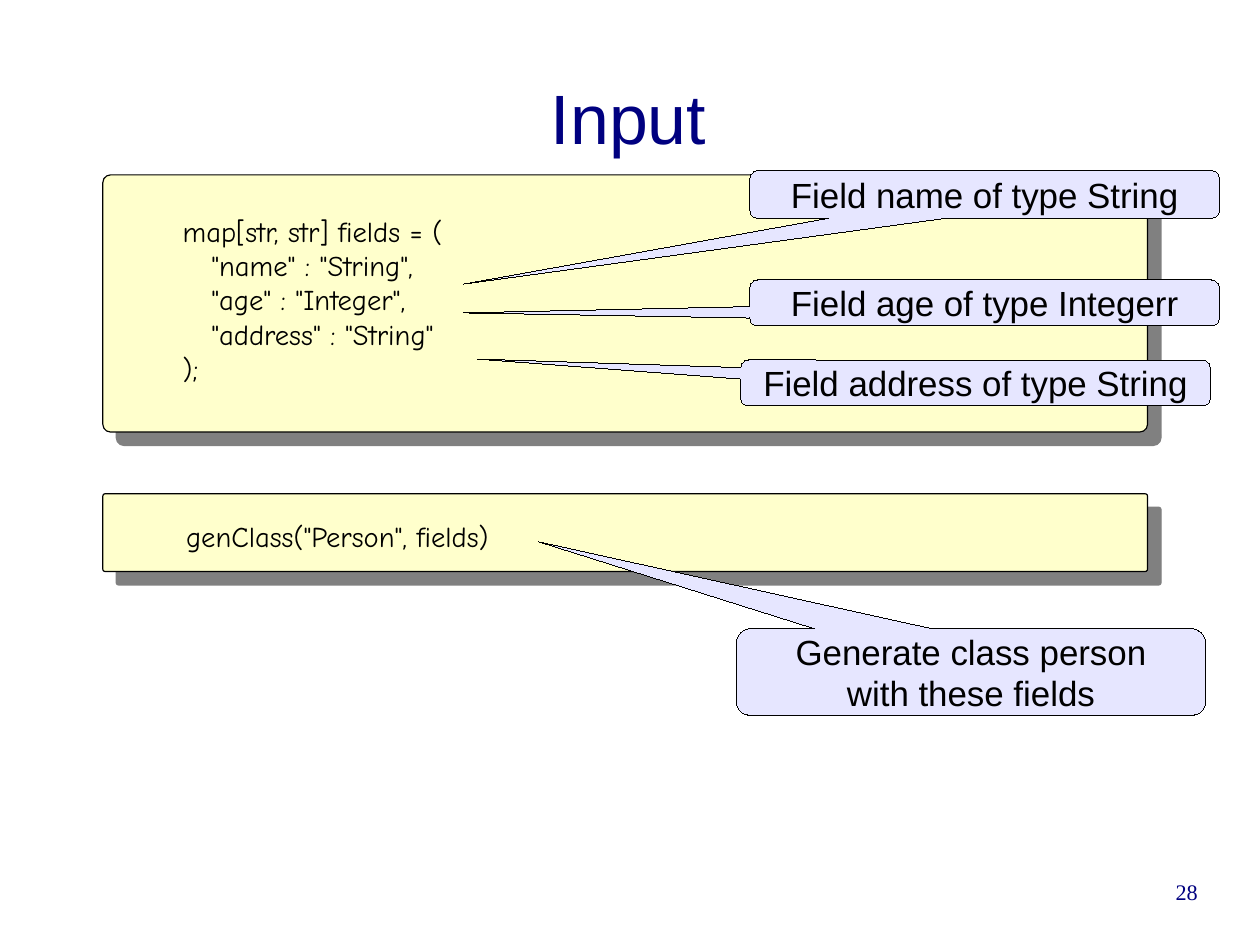
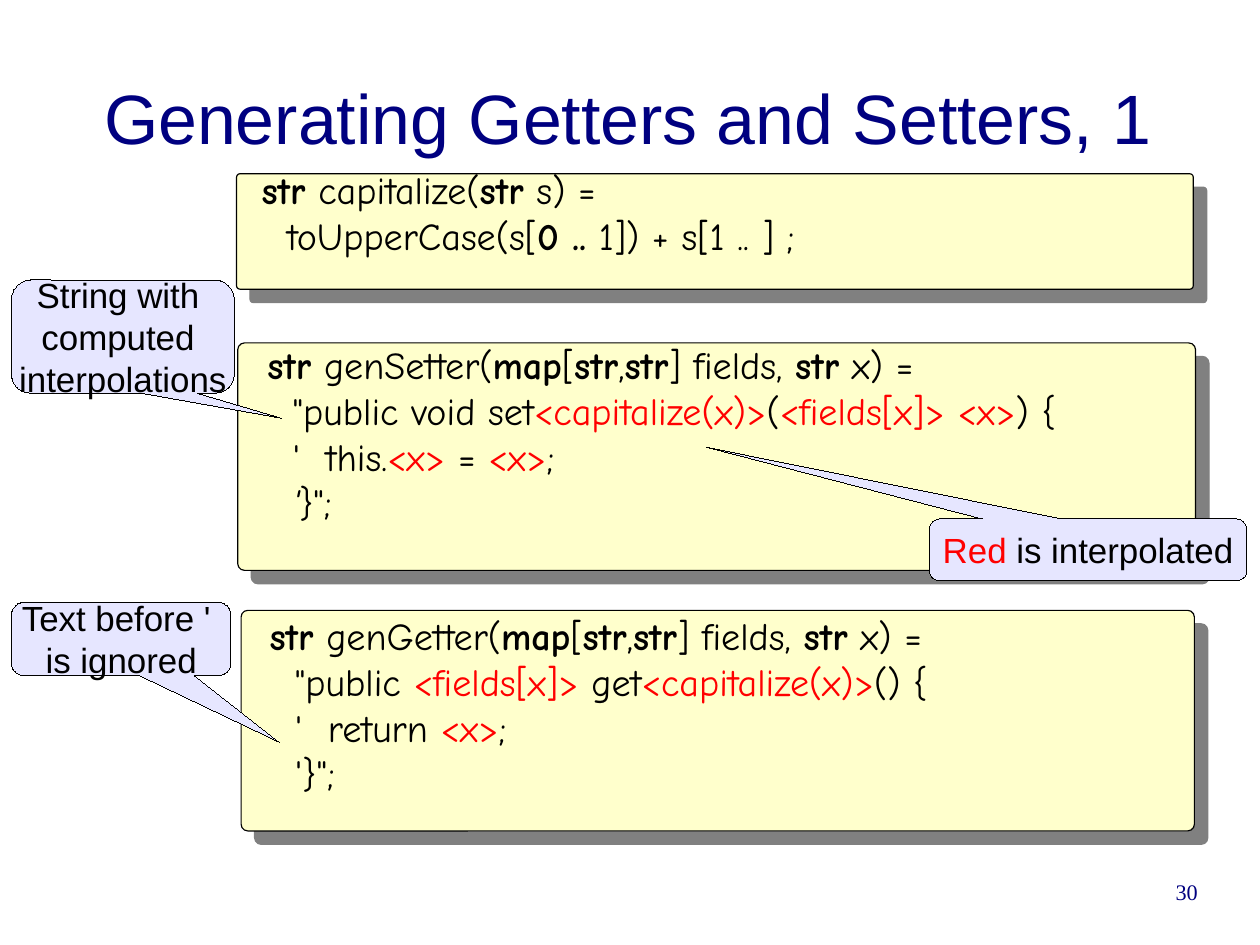
"""Build two slides on generating classes, getters and setters from templates."""
import pptx
import pptx.dml.color
import pptx.enum.shapes
import pptx.enum.text
import pptx.oxml.ns
import pptx.util
from lxml import etree

Inches = pptx.util.Inches
Pt = pptx.util.Pt
RGBColor = pptx.dml.color.RGBColor
MSO_SHAPE = pptx.enum.shapes.MSO_SHAPE
PP_ALIGN = pptx.enum.text.PP_ALIGN
MSO_ANCHOR = pptx.enum.text.MSO_ANCHOR
qn = pptx.oxml.ns.qn

NAVY = RGBColor(0x00, 0x00, 0x80)
BLACK = RGBColor(0x00, 0x00, 0x00)
RED = RGBColor(0xFF, 0x00, 0x00)
CREAM = RGBColor(0xFF, 0xFF, 0xCC)
LAVENDER = RGBColor(0xE6, 0xE6, 0xFF)
GREY = RGBColor(0x80, 0x80, 0x80)


def add_block(slide, kind, box, adjustments, fill, line_width):
    block = slide.shapes.add_shape(kind, *map(Inches, box))
    for index, value in enumerate(adjustments):
        block.adjustments[index] = value
    block.fill.solid()
    block.fill.fore_color.rgb = fill
    block.line.color.rgb = BLACK
    block.element.spPr.find(qn("a:ln")).set("w", str(Pt(line_width)))
    block.shadow.inherit = False
    return block


def write_lines(frame, lines, font_name, size, align):
    for index, pieces in enumerate(lines):
        paragraph = frame.paragraphs[0] if index == 0 else frame.add_paragraph()
        paragraph.alignment = align
        paragraph.font.name = font_name
        paragraph.font.size = Pt(size)
        paragraph.font.color.rgb = BLACK
        for text, style in pieces:
            run = paragraph.add_run()
            run.text = text
            if style == "bold":
                run.font.bold = True
            elif style == "italic":
                run.font.italic = True
            elif style == "red":
                run.font.color.rgb = RED


parameters = [
    ("map", "bold"), ("[", ""), ("str", "bold"), (",", ""), ("str", "bold"),
    ("] fields, ", ""), ("str", "bold"), (" x) =", ""),
]

pages = [
    {
        "title": "Input",
        "number": "28",
        "code_size": 18,
        "panels": [
            ((0.9, 4.32, 9.14, 0.68), (1.53, 4.49, 3.64, 0.45), [
                [('genClass("Person", fields)', "")],
            ]),
            ((0.9, 1.53, 9.14, 2.25), (1.5, 1.82, 3.74, 1.84), [
                [("map[str, str] fields = (", "")],
                [('   "name" : "String",', "")],
                [('   "age" : "Integer",', "")],
                [('   "address" : "String"', "")],
                [(");", "")],
            ]),
        ],
        "callouts": [
            ((6.56, 1.49, 4.11, 0.42), (-1.11, 1.87),
             [[("Field name of type String", "")]]),
            ((6.56, 2.45, 4.11, 0.4), (-1.11, 0.22),
             [[("Field age of type Integerr", "")]]),
            ((6.48, 3.15, 4.11, 0.4), (-1.06, -0.52),
             [[("Field address of type String", "")]]),
            ((6.44, 5.5, 4.11, 0.76), (-0.92, -1.5),
             [[("Generate class person", "")], [("with these fields", "")]]),
        ],
    },
    {
        "title": "Generating Getters and Setters, 1",
        "number": "30",
        "code_size": 24,
        "panels": [
            ((2.07, 1.52, 8.37, 1.01), (2.19, 1.41, 8.08, 1.08), [
                [("str", "bold"), (" capitalize(", ""), ("str", "bold"), (" s) =", "")],
                [("  toUpperCase(s[", ""), ("0 ..", "bold"), (" 1]) + s[1 .. ] ;", "")],
            ]),
            ((2.08, 3, 8.38, 1.99), (2.24, 2.94, 8.1, 1.95), [
                [("str", "bold"), (" genSetter(", "")] + parameters,
                [('  "public void set', ""), ("<capitalize(x)>", "red"), ("(", ""),
                 ("<fields[x]> <x>", "red"), (") {", "")],
                [("  '  this.", ""), ("<x>", "red"), (" = ", ""), ("<x>", "red"), (";", "")],
                [("  '", "italic"), ('}";', "")],
            ]),
            ((2.11, 5.34, 8.34, 1.93), (2.26, 5.31, 8.1, 1.95), [
                [("str", "bold"), (" genGetter(", "")] + parameters,
                [('  "public ', ""), ("<fields[x]>", "red"), (" get", ""),
                 ("<capitalize(x)>", "red"), ("() {", "")],
                [("  '  return ", ""), ("<x>", "red"), (";", "")],
                [("  '}\";", "")],
            ]),
        ],
        "callouts": [
            ((8.13, 4.54, 2.78, 0.54), (-1.2, -1.66),
             [[("Red", "red"), (" is interpolated", "")]]),
            ((0.1, 2.45, 1.95, 0.99), (0.71, 0.72),
             [[("String with ", "")], [("computed ", "")], [("interpolations", "")]]),
            ((0.1, 5.27, 1.92, 0.64), (0.72, 1.41),
             [[("Text before ' ", "")], [("is ignored", "")]]),
        ],
    },
]

deck = pptx.Presentation()
deck.slide_width = pptx.util.Cm(28)
deck.slide_height = pptx.util.Cm(21)
title_only = deck.slide_layouts[5]
layout_title = title_only.placeholders[0]
layout_title.left, layout_title.top = Inches(0.54), Inches(0.33)
layout_title.width, layout_title.height = Inches(9.92), Inches(1.38)

for page in pages:
    slide = deck.slides.add_slide(title_only)
    heading = slide.shapes.title.text_frame
    heading.text = page["title"]
    heading.auto_size = pptx.enum.text.MSO_AUTO_SIZE.NONE
    heading.vertical_anchor = MSO_ANCHOR.MIDDLE
    heading.margin_left = heading.margin_right = 0
    heading.margin_top = heading.margin_bottom = 0
    heading.paragraphs[0].alignment = PP_ALIGN.CENTER
    heading.paragraphs[0].font.name = "Arial"
    heading.paragraphs[0].font.size = Pt(44)
    heading.paragraphs[0].font.color.rgb = NAVY

    for panel_box, code_box, code_lines in page["panels"]:
        panel = add_block(slide, MSO_SHAPE.ROUNDED_RECTANGLE, panel_box, [0.03], CREAM, 0.75)
        effects = panel.element.spPr.find(qn("a:effectLst"))
        shadow = etree.SubElement(
            effects, qn("a:outerShdw"), blurRad="0", dist=str(Pt(12)),
            dir=str(45 * 60000), algn="tl", rotWithShape="0")
        etree.SubElement(shadow, qn("a:srgbClr"), val=str(GREY))
        code = slide.shapes.add_textbox(*map(Inches, code_box)).text_frame
        code.word_wrap = True
        write_lines(code, code_lines, "Comic Neue", page["code_size"], PP_ALIGN.LEFT)

    for callout_box, tip, remark_lines in page["callouts"]:
        callout = add_block(slide, MSO_SHAPE.ROUNDED_RECTANGULAR_CALLOUT, callout_box,
                            [*tip, 0.17], LAVENDER, 0)
        remark = callout.text_frame
        remark.word_wrap = False
        remark.vertical_anchor = MSO_ANCHOR.MIDDLE
        write_lines(remark, remark_lines, "Arial", 22, PP_ALIGN.CENTER)

    page_number = slide.shapes.add_textbox(
        Inches(7.91), Inches(7.68), Inches(2.57), Inches(0.57)).text_frame
    page_number.word_wrap = True
    page_number.margin_left = page_number.margin_right = 0
    page_number.margin_top = page_number.margin_bottom = 0
    write_lines(page_number, [[(page["number"], "")]], "Times New Roman", 14, PP_ALIGN.RIGHT)
    page_number.paragraphs[0].font.color.rgb = NAVY

deck.save("out.pptx")
